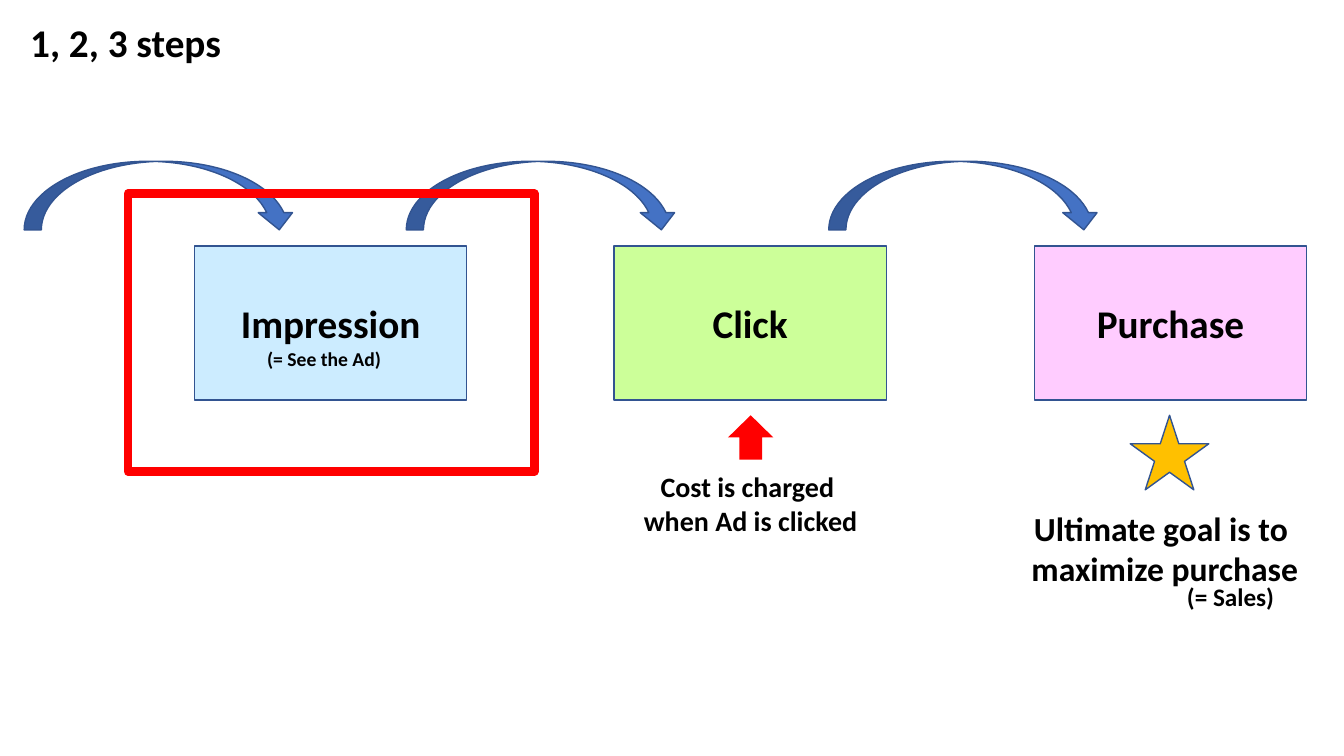
from pptx import Presentation
from pptx.dml.color import RGBColor
from pptx.enum.shapes import MSO_SHAPE
from pptx.enum.text import MSO_ANCHOR, MSO_AUTO_SIZE, PP_ALIGN
from pptx.util import Inches, Pt

RECT = MSO_SHAPE.RECTANGLE
CURVED_ARROW = MSO_SHAPE.CURVED_DOWN_ARROW
DOWN_ARROW = MSO_SHAPE.DOWN_ARROW
STAR = MSO_SHAPE.STAR_5_POINT
LEFT, CENTER = PP_ALIGN.LEFT, PP_ALIGN.CENTER
TOP, MIDDLE = MSO_ANCHOR.TOP, MSO_ANCHOR.MIDDLE
NO_AUTOFIT = MSO_AUTO_SIZE.NONE

COLORS = {
    "text": "000000",
    "outline": "325491",
    "arrow": "4472C4",
    "impression": "CCECFF",
    "click": "CCFF99",
    "purchase": "FFCCFF",
    "highlight": "FF0000",
    "star": "FFC000",
}


class SlideBuilder:
    font = "Calibri"

    def __init__(self, slide):
        self.slide = slide

    def color(self, name):
        return RGBColor.from_string(COLORS[name])

    def add_text(self, sp, lines, size, align=CENTER, anchor=TOP):
        tf = sp.text_frame
        tf.word_wrap = True
        tf.auto_size = NO_AUTOFIT
        tf.vertical_anchor = anchor
        for i, line in enumerate(lines):
            p = tf.add_paragraph() if i else tf.paragraphs[0]
            p.alignment = align
            r = p.add_run()
            r.text = line
            r.font.name = self.font
            r.font.size = Pt(size)
            r.font.bold = True
            r.font.color.rgb = self.color("text")

    def title(self, text, x, y, w, h):
        sp = self.slide.shapes.title
        sp.left, sp.top, sp.width, sp.height = map(Inches, (x, y, w, h))
        self.add_text(sp, [text], 28, LEFT)

    def label(self, lines, size, x, y, w, h, align=CENTER):
        sp = self.slide.shapes.add_textbox(*map(Inches, (x, y, w, h)))
        self.add_text(sp, lines, size, align)

    def shape(self, kind, x, y, w, h, fill=None, line="outline", weight=1):
        sp = self.slide.shapes.add_shape(kind, *map(Inches, (x, y, w, h)))
        sp.shadow.inherit = False
        if fill:
            sp.fill.solid()
            sp.fill.fore_color.rgb = self.color(fill)
        else:
            sp.fill.background()
        if line:
            sp.line.color.rgb = self.color(line)
            sp.line.width = Pt(weight)
        else:
            sp.line.fill.background()
        return sp

    def step(self, text, x):
        sp = self.shape(RECT, x, 2.44, 2.7, 1.53, text.lower())
        self.add_text(sp, [text], 28, anchor=MIDDLE)


def main():
    prs = Presentation()
    prs.slide_width, prs.slide_height = Inches(13.33), Inches(7.5)
    s = SlideBuilder(prs.slides.add_slide(prs.slide_layouts[5]))

    s.title("1, 2, 3 steps", 0.2, 0.13, 8.2, 0.57)
    for text, x in (("Impression", 1.93), ("Click", 6.09), ("Purchase", 10.26)):
        s.step(text, x)
    for x in (0.24, 4.03, 8.22):
        s.shape(CURVED_ARROW, x, 1.6, 2.7, 0.68, "arrow")

    s.label(["(= See the Ad)"], 14, 2.55, 3.39, 1.51, 0.34, LEFT)
    cost_arrow = s.shape(DOWN_ARROW, 7.22, 4.12, 0.45, 0.44, "highlight", None)
    cost_arrow.rotation = 180
    s.label(["Cost is charged ", "when Ad is clicked"], 20, 5.83, 4.61, 3.23, 0.77)
    s.shape(STAR, 11.21, 4.12, 0.78, 0.74, "star")
    s.label(["Ultimate goal is to", " maximize purchase"], 24, 9.76, 4.99, 3.51, 0.91)
    s.label(["(= Sales)"], 18, 11.53, 5.72, 1.35, 0.4)
    s.shape(RECT, 1.27, 1.92, 4.03, 2.76, line="highlight", weight=6)

    prs.save("out.pptx")


if __name__ == "__main__":
    main()
